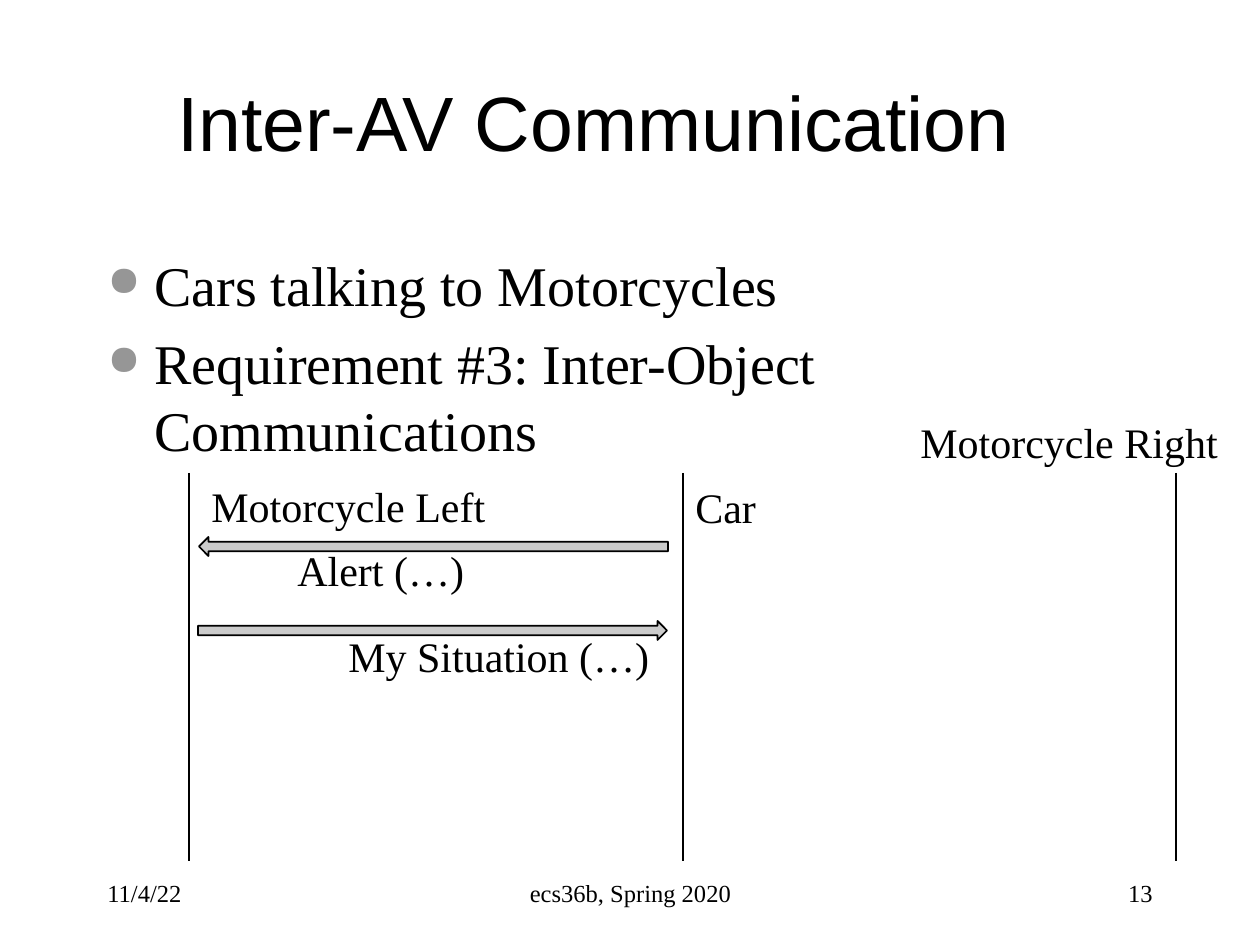
from pptx import Presentation
from pptx.dml.color import RGBColor
from pptx.enum.shapes import MSO_CONNECTOR, MSO_SHAPE
from pptx.enum.text import MSO_ANCHOR, PP_ALIGN
from pptx.oxml import parse_xml
from pptx.oxml.ns import nsdecls
from pptx.util import Pt

PIXEL = 914400 // 126
BLACK = RGBColor(0x00, 0x00, 0x00)
ARROW_GRAY = RGBColor(0xCB, 0xCB, 0xCB)
BULLET_GRAY = RGBColor(0x96, 0x96, 0x96)
SERIF, SANS = "Times New Roman", "Arial"
LEFT, CENTER, RIGHT = PP_ALIGN.LEFT, PP_ALIGN.CENTER, PP_ALIGN.RIGHT
TOP, MIDDLE = MSO_ANCHOR.TOP, MSO_ANCHOR.MIDDLE

deck = Presentation()
deck.slide_width, deck.slide_height = 1260 * PIXEL, 945 * PIXEL
page = deck.slides.add_slide(deck.slide_layouts[6])


def add_text(text, bounds, size, font=SERIF, align=LEFT, anchor=TOP, wrap=True):
    """Add a text box with one style; bounds are left, top, width, height in pixels."""
    box = page.shapes.add_textbox(*(length * PIXEL for length in bounds))
    frame = box.text_frame
    frame.word_wrap = wrap
    frame.vertical_anchor = anchor
    frame.text = text
    for para in frame.paragraphs:
        para.alignment = align
        for span in para.runs:
            span.font.size, span.font.name = Pt(size), font
            span.font.color.rgb = BLACK
    return box


add_text("Inter-AV Communication", (158, 42, 872, 158), 44, SANS, CENTER, MIDDLE)

body = add_text(
    "Cars talking to Motorcycles\nRequirement #3: Inter-Object Communications",
    (95, 244, 1071, 567), 32)
for para in body.text_frame.paragraphs:
    para.space_before = Pt(6.4)
    properties = para._p.get_or_add_pPr()
    properties.set("marL", str(47 * PIXEL))
    properties.set("indent", str(-47 * PIXEL))
    for bullet in (f'<a:buClr {nsdecls("a")}><a:srgbClr val="{BULLET_GRAY}"/></a:buClr>',
                   f'<a:buSzPct {nsdecls("a")} val="75000"/>',
                   f'<a:buChar {nsdecls("a")} char="●"/>'):
        properties.append(parse_xml(bullet))

for text, left, width, align in (("11/4/22", 95, 262, LEFT),
                                 ("ecs36b, Spring 2020", 431, 399, CENTER),
                                 ("13", 903, 262, RIGHT)):
    add_text(text, (left, 861, width, 63), 14, align=align, anchor=MIDDLE)

# Lifelines of the three vehicles
for column in range(3):
    x = (189 + round(493.5 * column)) * PIXEL
    lifeline = page.shapes.add_connector(
        MSO_CONNECTOR.STRAIGHT, x, 473 * PIXEL, x, 861 * PIXEL)
    lifeline.line.color.rgb = BLACK
    lifeline.line.width = Pt(1)
    lifeline._element.spPr.append(parse_xml(f'<a:effectLst {nsdecls("a")}/>'))

# Messages between the left motorcycle and the car
for left, top, rotation in ((199, 537, 0), (198, 621, 180)):
    arrow = page.shapes.add_shape(
        MSO_SHAPE.LEFT_ARROW, left * PIXEL, top * PIXEL, 469 * PIXEL, 19 * PIXEL)
    arrow.rotation = rotation
    arrow.shadow.inherit = False
    arrow.fill.solid()
    arrow.fill.fore_color.rgb = ARROW_GRAY
    arrow.line.color.rgb = BLACK
    arrow.line.width = Pt(1)

for text, left, top, width in (("Motorcycle Left", 199, 474, 302),
                               ("Motorcycle Right", 908, 410, 325),
                               ("Car", 683, 475, 87),
                               ("Alert (…)", 285, 538, 194),
                               ("My Situation (…)", 336, 624, 329)):
    add_text(text, (left, top, width, 63), 24, wrap=False)

deck.save("out.pptx")
